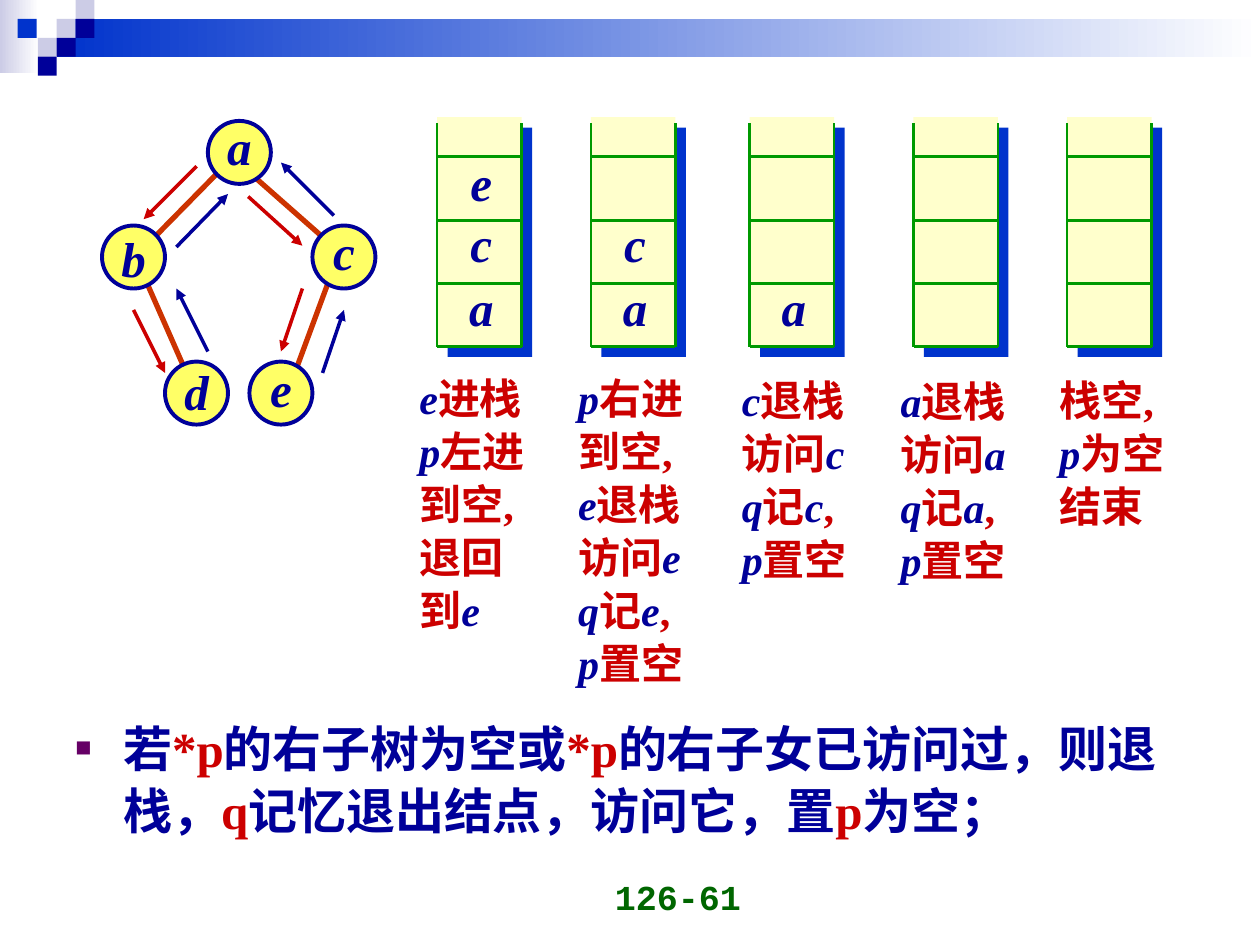
from dataclasses import dataclass
from itertools import groupby
from typing import Optional

from lxml.etree import SubElement
from pptx import Presentation
from pptx.dml.color import RGBColor
from pptx.enum.shapes import MSO_CONNECTOR as Connector, MSO_SHAPE as Preset
from pptx.enum.text import MSO_ANCHOR as Anchor, PP_ALIGN as Align
from pptx.oxml import parse_xml
from pptx.oxml.ns import nsdecls, qn
from pptx.util import Inches, Pt

COLORS = {
    "navy": "000099", "blue": "0033CC", "lavender": "CCCCE6", "white": "FFFFFF",
    "red": "CC0000", "rust": "CC3300", "yellow": "FFFF66", "cream": "FFFFCC",
    "green": "009900", "dark_green": "006600", "purple": "660066",
}
SERIF = "Times New Roman"
TILE = 0.15
NODE_SIZE = 0.5
STACK_TOP, STACK_WIDTH, STACK_HEIGHT = 0.93, 0.67, 1.82
STACK_BOTTOM = STACK_TOP + STACK_HEIGHT
LABEL_WIDTH, LABEL_HEIGHT = 0.4, 0.57


@dataclass
class Node:
    name: str
    left: float
    top: float
    label_top: float


@dataclass
class Line:
    start: tuple[float, float]
    end: tuple[float, float]
    color: str


@dataclass
class Stack:
    left: float
    items: str
    note_left: float
    note_top: float
    notes: list[str]


TILES = [(0.45, 0.15, "lavender"), (0.6, 0, "lavender"), (0.6, 0.15, "navy"),
         (0.3, 0.3, "lavender"), (0.14, 0.15, "blue"), (0.45, 0.3, "navy"),
         (0.3, 0.45, "navy")]
NODES = [Node("a", 1.65, 0.96, 0.87), Node("b", 0.81, 1.79, 1.76),
         Node("c", 2.48, 1.79, 1.71), Node("d", 1.31, 2.87, 2.82),
         Node("e", 1.98, 2.87, 2.79)]
EDGES = [Line((2.65, 2.12), (2.31, 3.04), "rust"), Line((1.15, 2.21), (1.48, 2.96), "rust"),
         Line((1.98, 1.37), (2.65, 1.96), "rust"), Line((1.73, 1.37), (1.15, 1.96), "rust")]
MOVES = [Line((1.56, 1.32), (1.14, 1.74), "red"), Line((1.06, 2.46), (1.31, 2.96), "red"),
         Line((1.65, 2.79), (1.4, 2.29), "navy"), Line((1.4, 1.96), (1.81, 1.54), "navy"),
         Line((1.97, 1.56), (2.4, 1.95), "red"), Line((2.4, 2.29), (2.23, 2.79), "red"),
         Line((2.56, 2.96), (2.73, 2.46), "navy"), Line((2.65, 1.71), (2.23, 1.29), "navy")]
STACKS = [
    Stack(3.47, "ace", 3.23, 2.91, ["e进栈", "p左进", "到空,", "退回", "到e"]),
    Stack(4.69, "ac", 4.49, 2.91, ["p右进", "到空,", "e退栈", "访问e", "q记e,", "p置空"]),
    Stack(5.95, "a", 5.79, 2.92, ["c退栈", "访问c", "q记c,", "p置空"]),
    Stack(7.25, "", 7.05, 2.93, ["a退栈", "访问a", "q记a,", "p置空"]),
    Stack(8.47, "", 8.31, 2.92, ["栈空,", "p为空", "结束"]),
]
ITEM_TOPS = (2.15, 1.64, 1.16)
RULE = ["若", "*p", "的右子树为空或", "*p", "的右子女已访问过，则退栈，", "q",
        "记忆退出结点，访问它，置", "p", "为空；"]


def rgb(color: str) -> RGBColor:
    return RGBColor.from_string(COLORS[color])


def add_block(page, preset, left: float, top: float, width: float, height: float,
              color: str, fade: bool = False):
    block = page.shapes.add_shape(preset, Inches(left), Inches(top), Inches(width), Inches(height))
    block.shadow.inherit = False
    block.line.fill.background()
    if fade:
        block.fill.gradient()
        block.fill.gradient_angle = 0
        for stop, name in zip(block.fill.gradient_stops, (color, "white")):
            stop.color.rgb = rgb(name)
    else:
        block.fill.solid()
        block.fill.fore_color.rgb = rgb(color)
    return block


def add_line(page, line: Line, width: float, arrow: bool = False) -> None:
    link = page.shapes.add_connector(Connector.STRAIGHT, *map(Inches, line.start + line.end))
    link.line.color.rgb = rgb(line.color)
    link.line.width = Pt(width)
    if arrow:
        SubElement(link.line._get_or_add_ln(), qn("a:tailEnd"), type="triangle")
    SubElement(link._element.spPr, qn("a:effectLst"))


def add_box(page, left: float, top: float, width: float, height: float, anchor, wrap: bool = True):
    box = page.shapes.add_textbox(Inches(left), Inches(top), Inches(width), Inches(height))
    box.text_frame.word_wrap = wrap
    box.text_frame.vertical_anchor = anchor
    return box.text_frame


def style(span, size: float, color: str, italic: Optional[bool] = None, font: str = SERIF) -> None:
    span.font.name = font
    span.font.size = Pt(size)
    span.font.bold = True
    span.font.italic = italic
    span.font.color.rgb = rgb(color)


def add_label(page, name: str, center: float, top: float) -> None:
    frame = add_box(page, center - LABEL_WIDTH / 2, top, LABEL_WIDTH, LABEL_HEIGHT,
                    Anchor.MIDDLE, wrap=False)
    frame.text = name
    frame.paragraphs[0].alignment = Align.CENTER
    style(frame.paragraphs[0].runs[0], 28, "navy", True)


def is_variable(letter: str) -> bool:
    return letter.isascii() and letter.isalpha()


def add_notes(page, stack: Stack) -> None:
    frame = add_box(page, stack.note_left, stack.note_top, 1.18,
                    0.42 * len(stack.notes) + 0.08, Anchor.TOP)
    for index, note in enumerate(stack.notes):
        para = frame.add_paragraph() if index else frame.paragraphs[0]
        if index:
            para.space_before = Pt(1.5)
        for variable, letters in groupby(note, is_variable):
            span = para.add_run()
            span.text = "".join(letters)
            style(span, 24, "navy" if variable else "red", variable)


def add_stack(page, stack: Stack) -> None:
    left, right = stack.left, stack.left + STACK_WIDTH
    body = add_block(page, Preset.RECTANGLE, left, STACK_TOP, STACK_WIDTH, STACK_HEIGHT, "cream")
    effects = body._element.spPr.find(qn("a:effectLst"))
    effects.append(parse_xml(
        f'<a:outerShdw {nsdecls("a")} dist="{Pt(8.5)}" dir="2700000" algn="ctr" rotWithShape="0">'
        f'<a:srgbClr val="{COLORS["blue"]}"/></a:outerShdw>'))
    for side in (left, right):
        add_line(page, Line((side, 0.98), (side, STACK_BOTTOM), "green"), 1.5)
    for level in (1.24, 1.75, 2.25, STACK_BOTTOM):
        add_line(page, Line((left, level), (right, level), "green"), 1.5)
    for item, top in zip(stack.items, ITEM_TOPS):
        add_label(page, item, left + 0.35, top)
    add_notes(page, stack)


def add_tree(page) -> None:
    for edge in EDGES:
        add_line(page, edge, 3)
    for node in NODES:
        circle = add_block(page, Preset.OVAL, node.left, node.top, NODE_SIZE, NODE_SIZE, "yellow")
        circle.line.color.rgb = rgb("navy")
        circle.line.width = Pt(2.25)
        add_label(page, node.name, node.left + NODE_SIZE / 2, node.label_top)
    for move in MOVES:
        add_line(page, move, 2, arrow=True)


def add_rule(page) -> None:
    para = add_box(page, 0.5, 5.63, 9, 1.19, Anchor.TOP).paragraphs[0]
    props = para._p.get_or_add_pPr()
    props.set("marL", str(Inches(0.38)))
    props.set("indent", str(-Inches(0.38)))
    SubElement(SubElement(props, qn("a:buClr")), qn("a:srgbClr"), val=COLORS["purple"])
    SubElement(props, qn("a:buSzPct"), val="55000")
    SubElement(props, qn("a:buFont"), typeface=SERIF)
    SubElement(props, qn("a:buChar"), char="■")
    para.line_spacing = 1.05
    for index, words in enumerate(RULE):
        span = para.add_run()
        span.text = words
        style(span, 28, "red" if index % 2 else "navy")


def main() -> None:
    deck = Presentation()
    deck.slide_width, deck.slide_height = Inches(10), Inches(7.5)
    page = deck.slides.add_slide(deck.slide_layouts[6])
    add_block(page, Preset.RECTANGLE, 0, 0, 0.31, 0.58, "lavender", fade=True)
    add_block(page, Preset.RECTANGLE, 0.45, 0.15, 9.55, 0.3, "blue", fade=True)
    for left, top, color in TILES:
        add_block(page, Preset.RECTANGLE, left, top, TILE, TILE, color)
    number = add_box(page, 3.65, 6.83, 2.33, 0.5, Anchor.BOTTOM)
    number.text = "126-61"
    number.paragraphs[0].alignment = Align.RIGHT
    style(number.paragraphs[0].runs[0], 20, "dark_green", font="Courier New")
    add_tree(page)
    for stack in STACKS:
        add_stack(page, stack)
    add_rule(page)
    deck.save("out.pptx")


if __name__ == "__main__":
    main()
